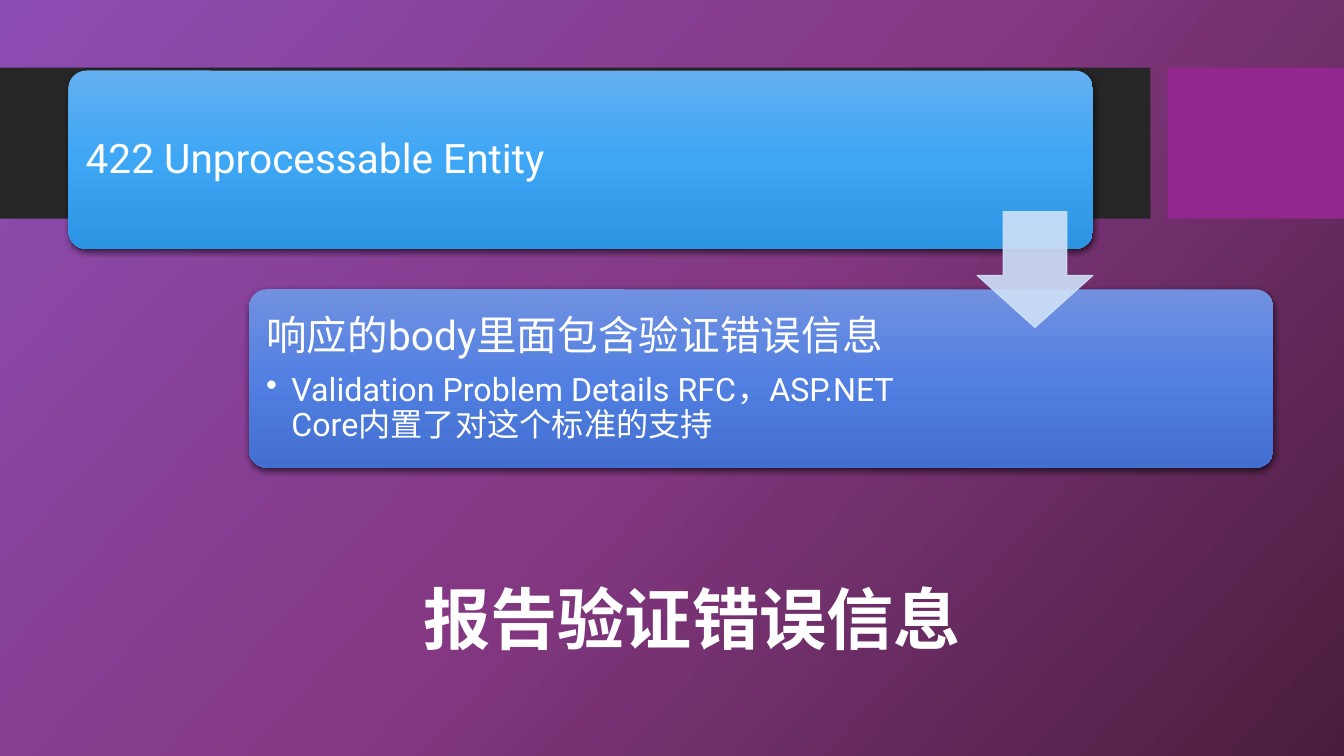
from copy import deepcopy
from dataclasses import dataclass

from lxml import etree
from pptx import Presentation
from pptx import util as u
from pptx.dml.color import RGBColor
from pptx.enum import shapes, text
from pptx.oxml import parse_xml
from pptx.oxml.ns import nsdecls, qn

FONT = "Roboto"
WHITE = "FFFFFF"
ARROW_COLOR = "CFE1F8"


@dataclass
class Band:
    left: float
    width: float
    color: str


@dataclass
class Card:
    left: float
    top: float
    text_width: float
    stops: list[str]
    heading: str
    bullet: str = ""


BANDS = [Band(0, 11.41, "262626"), Band(11.58, 1.75, "92278F")]
CARDS = [
    Card(0.68, 0.7, 8.33, ["64B0F1", "3DA6F5", "2C95E3"], "422 Unprocessable Entity"),
    Card(2.47, 2.87, 7.11, ["7191E0", "5280E2", "426FD0"], "响应的body里面包含验证错误信息",
         "Validation Problem Details RFC，ASP.NET Core内置了对这个标准的支持"),
]


def rgb(color: str) -> RGBColor:
    return RGBColor.from_string(color)


def set_gradient(fill, owner, colors: list[str], angle: float) -> None:
    """Spread three colors evenly along a clockwise angle."""
    fill.gradient()
    stop_list = owner.find(".//" + qn("a:gsLst"))
    stop_list.insert(1, deepcopy(stop_list[0]))
    for index, (stop, color) in enumerate(zip(fill.gradient_stops, colors)):
        stop.position = index / (len(colors) - 1)
        stop.color.rgb = rgb(color)
    fill.gradient_angle = 360 - angle


def add_shape(page, kind, left: float, top: float, width: float, height: float):
    shape = page.shapes.add_shape(kind, *map(u.Inches, (left, top, width, height)))
    shape.shadow.inherit = False
    shape.line.fill.background()
    return shape


def add_box(page, left: float, top: float, width: float, height: float, anchor, inset=None):
    box = page.shapes.add_textbox(*map(u.Inches, (left, top, width, height)))
    frame = box.text_frame
    frame.word_wrap = True
    frame.vertical_anchor = anchor
    if inset is not None:
        frame.margin_left = frame.margin_right = u.Inches(inset)
        frame.margin_top = frame.margin_bottom = u.Inches(inset)
    return frame


def write(para, words: str, *, size: float, bold: bool = False,
          align=text.PP_ALIGN.LEFT, after: float = 0, bullet: bool = False) -> None:
    para.alignment = align
    para.line_spacing = 0.9
    para.space_after = u.Pt(after)
    if bullet:
        properties = para._p.get_or_add_pPr()
        properties.set("marL", str(u.Inches(0.25)))
        properties.set("indent", str(u.Inches(-0.25)))
        etree.SubElement(properties, qn("a:buChar")).set("char", "•")
    span = para.add_run()
    span.text = words
    span.font.name = FONT
    span.font.size = u.Pt(size)
    span.font.bold = bold
    span.font.color.rgb = rgb(WHITE)


def add_shadow(shape) -> None:
    effects = shape._element.spPr.find(qn("a:effectLst"))
    effects.append(parse_xml(
        f'<a:outerShdw {nsdecls("a")} blurRad="{u.Pt(4.5)}" dist="{u.Pt(1.5)}" '
        'dir="5400000" algn="ctr" rotWithShape="0"><a:srgbClr val="000000">'
        '<a:alpha val="63000"/></a:srgbClr></a:outerShdw>'))


def add_card(page, card: Card) -> None:
    panel = add_shape(page, shapes.MSO_SHAPE.ROUNDED_RECTANGLE, card.left, card.top, 10.16, 1.77)
    panel.adjustments[0] = 0.1
    set_gradient(panel.fill, panel._element, card.stops, 90)
    add_shadow(panel)
    frame = add_box(page, card.left + 0.05, card.top + 0.06, card.text_width, 1.67,
                    text.MSO_ANCHOR.MIDDLE, 0.12)
    write(frame.paragraphs[0], card.heading, size=29, after=10)
    if card.bullet:
        write(frame.add_paragraph(), card.bullet, size=23, after=3.5, bullet=True)


def add_arrow(page) -> None:
    arrow = add_shape(page, shapes.MSO_SHAPE.DOWN_ARROW, 9.69, 2.1, 1.15, 1.15)
    arrow.adjustments[0] = 0.55
    arrow.adjustments[1] = 0.45
    arrow.line.width = u.Pt(0.75)
    for fill in (arrow.fill, arrow.line.fill):
        fill.solid()
        fill.fore_color.rgb = rgb(ARROW_COLOR)
    for color in arrow._element.spPr.iter(qn("a:srgbClr")):
        etree.SubElement(color, qn("a:alpha")).set("val", "90000")


def main() -> None:
    deck = Presentation()
    deck.slide_width, deck.slide_height = u.Inches(13.33), u.Inches(7.5)
    page = deck.slides.add_slide(deck.slide_layouts[6])

    # Background and header bands
    set_gradient(page.background.fill, page._element, ["8C4DB3", "843883", "4A1D3C"], 42)
    for band in BANDS:
        shape = add_shape(page, shapes.MSO_SHAPE.RECTANGLE, band.left, 0.67, band.width, 1.5)
        shape.fill.solid()
        shape.fill.fore_color.rgb = rgb(band.color)

    # Title
    title = add_box(page, 0.74, 5.16, 8.89, 1.43, text.MSO_ANCHOR.BOTTOM)
    write(title.paragraphs[0], "报告验证错误信息", size=48, bold=True, align=text.PP_ALIGN.RIGHT)

    # Step cards joined by an arrow
    for card in CARDS:
        add_card(page, card)
    add_arrow(page)

    deck.save("out.pptx")


if __name__ == "__main__":
    main()
